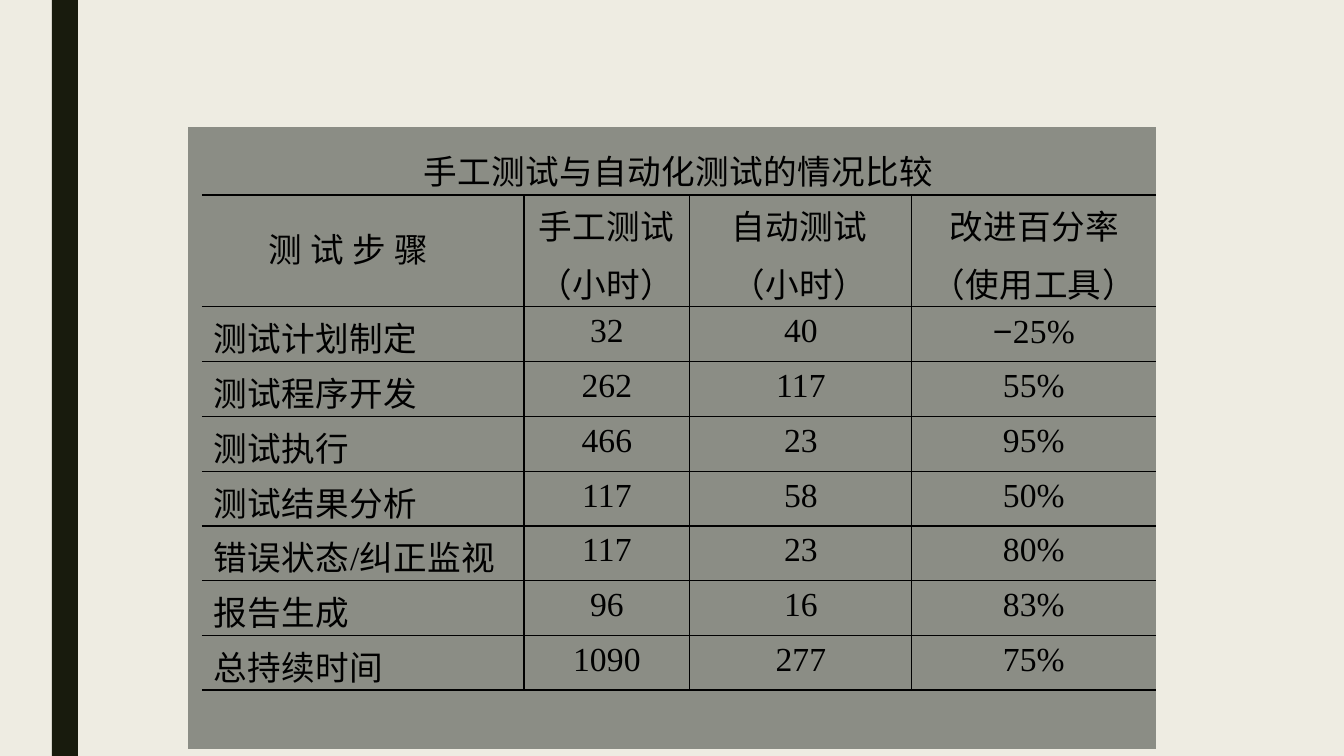
"""Build the slide comparing manual and automated testing effort."""
from dataclasses import dataclass

from lxml import etree
from pptx import Presentation
from pptx.dml.color import RGBColor
from pptx.enum.shapes import MSO_SHAPE
from pptx.enum.text import PP_ALIGN
from pptx.oxml.ns import qn
from pptx.util import Emu, Pt

RECT = MSO_SHAPE.RECTANGLE
LEFT, CENTER = PP_ALIGN.LEFT, PP_ALIGN.CENTER
SCALE = 914400 / 100.8
COLORS = {"paper": "EEECE2", "stripe": "181B0D", "cell": "8B8D85", "ink": "000000"}
CJK, SERIF, SANS = "Noto Sans CJK SC", "Times New Roman", "Arial"
COLS = [14, 322, 166, 222, 244]
ROWS = [68, 104] + [54] * 7 + [59]
LAST_BODY, LAST_COL = len(ROWS) - 2, len(COLS) - 1
SIZE, THIN, THICK = 24, 1, 1.5


@dataclass
class Band:
    """A full-height background band."""
    left: int
    width: int
    color: str


@dataclass
class CellText:
    """Text of one cell, with its insets in pixels."""
    text: str
    align: PP_ALIGN = CENTER
    left: int = 0
    top: int = 6


BANDS = [Band(78, 1266, "paper"), Band(0, 52, "paper"), Band(52, 26, "stripe")]
TITLE = CellText("手工测试与自动化测试的情况比较", top=19)
HEADERS = [
    CellText("测 试 步 骤", LEFT, 67, 29),
    CellText("手工测试\n（小时）", LEFT, 15),
    CellText("自动测试\n（小时）", LEFT, 42),
    CellText("改进百分率\n（使用工具）"),
]
STEPS = [
    ("测试计划制定", "32", "40", "−25%"),
    ("测试程序开发", "262", "117", "55%"),
    ("测试执行", "466", "23", "95%"),
    ("测试结果分析", "117", "58", "50%"),
    ("错误状态/纠正监视", "117", "23", "80%"),
    ("报告生成", "96", "16", "83%"),
    ("总持续时间", "1090", "277", "75%"),
]


def px(n: float) -> Emu:
    """Convert pixels to EMU."""
    return Emu(round(n * SCALE))


def rgb(name: str) -> RGBColor:
    """Look up a named colour."""
    return RGBColor.from_string(COLORS[name])


def font_for(text: str) -> str:
    """Choose the typeface of a run."""
    if text == "−":
        return SANS
    return SERIF if text.isascii() else CJK


def split_runs(line: str) -> list[str]:
    """Split a line around the minus sign and the slash."""
    for mark in "−/":
        if mark in line:
            return [part for part in line.partition(mark) if part]
    return [line]


def draw_band(s, band: Band) -> None:
    """Draw a background band."""
    sp = s.shapes.add_shape(RECT, px(band.left), 0, px(band.width), px(756))
    sp.shadow.inherit = False
    sp.fill.solid()
    sp.fill.fore_color.rgb = rgb(band.color)
    sp.line.fill.background()


def border(cell, side: str, width: float) -> None:
    """Set one cell edge; zero width means no line."""
    ln = etree.SubElement(cell._tc.get_or_add_tcPr(), qn(f"a:ln{side}"), w=str(Pt(width)))
    if not width:
        etree.SubElement(ln, qn("a:noFill"))
        return
    fill = etree.SubElement(ln, qn("a:solidFill"))
    etree.SubElement(fill, qn("a:srgbClr"), val=COLORS["ink"])


def style_cell(cell, row: int, col: int) -> None:
    """Set insets, rules and fill according to the grid position."""
    cell.margin_left = cell.margin_right = cell.margin_top = cell.margin_bottom = 0
    body = 1 <= row <= LAST_BODY and col >= 1
    top = bottom = 0
    if col >= 1:
        top = THICK if row in (1, LAST_BODY + 1) else THIN if body else 0
        bottom = THICK if row in (0, LAST_BODY) else THIN if body else 0
    border(cell, "L", THIN if body and col > 1 else 0)
    border(cell, "R", THIN if body and col < LAST_COL else 0)
    border(cell, "T", top)
    border(cell, "B", bottom)
    cell.fill.solid()
    cell.fill.fore_color.rgb = rgb("cell")


def write_cell(cell, item: CellText) -> None:
    """Write and format the text of a cell."""
    cell.margin_left, cell.margin_top = px(item.left), px(item.top)
    tf = cell.text_frame
    tf.text = item.text
    for i, p in enumerate(tf.paragraphs):
        p.alignment = item.align
        p.space_before = Pt(6 if i else 4.2)
        parts = split_runs(p.text)
        p.text = parts[0]
        for part in parts[1:]:
            p.add_run().text = part
        for r in p.runs:
            r.font.size = Pt(SIZE)
            r.font.color.rgb = rgb("ink")
            r.font.name = font_for(r.text)
            rPr = r.font._element
            rPr.set("spc", "10" if r.text.isascii() else "30")
            etree.SubElement(rPr, qn("a:ea"), typeface=font_for(r.text))


def draw_table(s) -> None:
    """Draw the comparison table."""
    table = s.shapes.add_table(len(ROWS), len(COLS), px(188), px(127),
                               px(sum(COLS)), px(sum(ROWS))).table
    table.first_row = table.horz_banding = False
    for column, width in zip(table.columns, COLS):
        column.width = px(width)
    for i, height in enumerate(ROWS):
        table.rows[i].height = px(height)
        for j in range(len(COLS)):
            style_cell(table.cell(i, j), i, j)
    table.cell(0, 0).merge(table.cell(len(ROWS) - 1, 0))
    for i in (0, len(ROWS) - 1):
        table.cell(i, 1).merge(table.cell(i, LAST_COL))
    write_cell(table.cell(0, 1), TITLE)
    steps = [[CellText(name, LEFT, 12), *map(CellText, values)] for name, *values in STEPS]
    for i, items in enumerate([HEADERS, *steps], start=1):
        for j, item in enumerate(items, start=1):
            write_cell(table.cell(i, j), item)


def main() -> None:
    """Build and save the presentation."""
    prs = Presentation()
    prs.slide_width, prs.slide_height = px(1344), px(756)
    s = prs.slides.add_slide(prs.slide_layouts[6])
    for band in BANDS:
        draw_band(s, band)
    draw_table(s)
    prs.save("out.pptx")


main()
